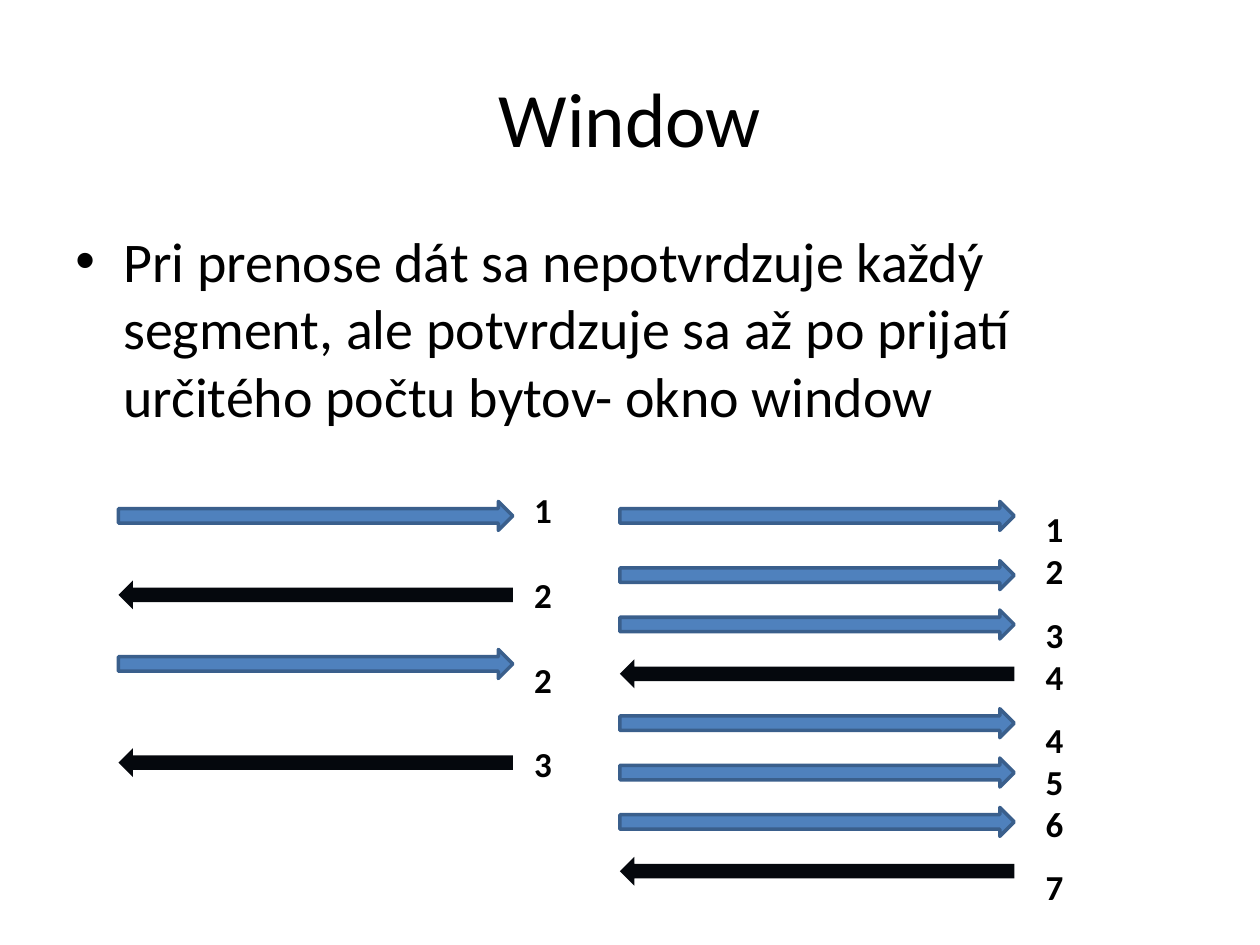
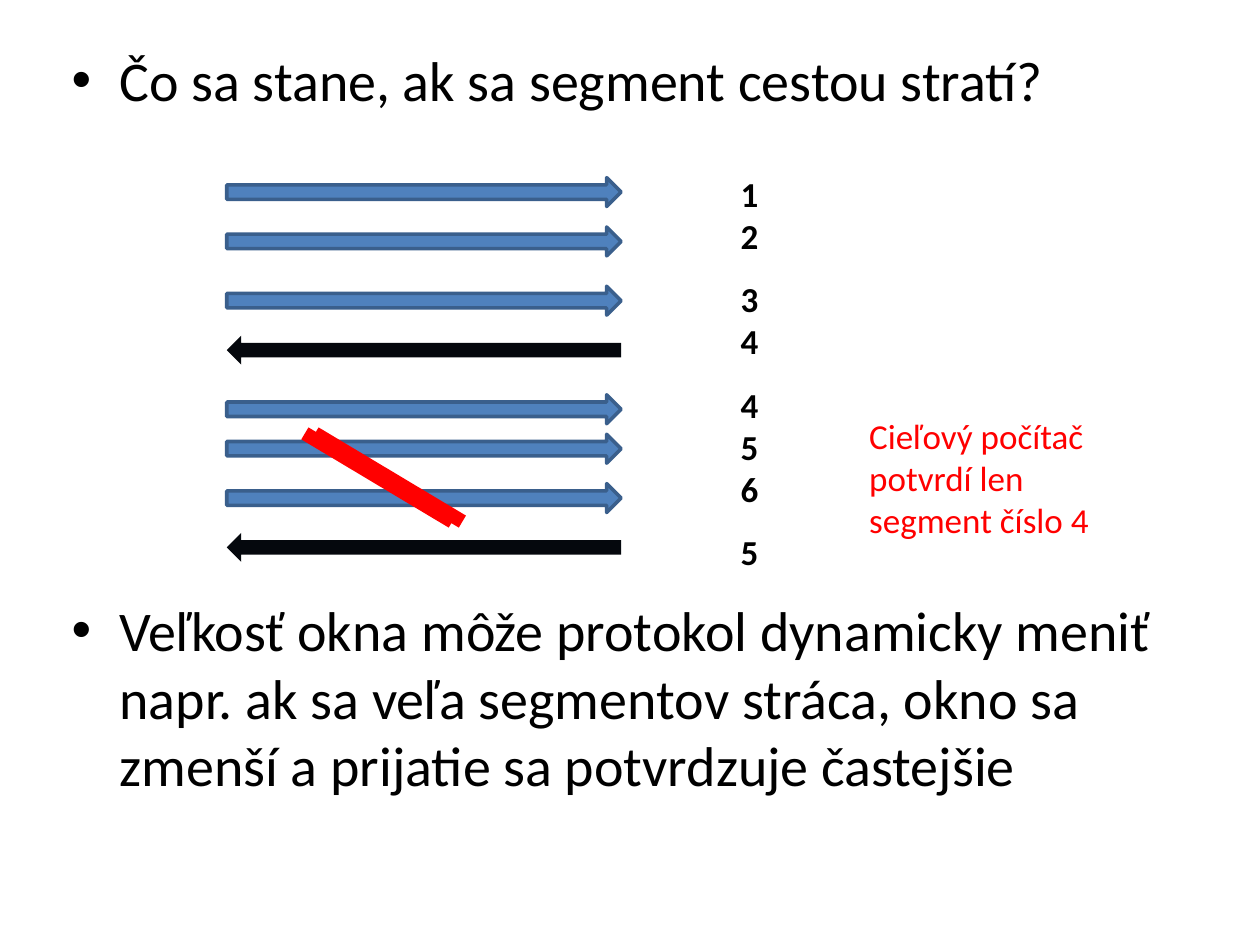
import pptx
import pptx.util
import pptx.dml.color
import pptx.enum.shapes
import pptx.enum.text
import lxml.etree
from dataclasses import dataclass

# Content: each exchange lists its messages as (grid row, kind); each label
# list is split into groups, with a wider gap before every new group.
SEND, ACK = "send", "ack"

TITLE = "Window"
INTRO = ("Pri prenose dát sa nepotvrdzuje každý segment, ale potvrdzuje sa "
         "až po prijatí určitého počtu bytov- okno window")
QUESTION = "Čo sa stane, ak sa segment cestou stratí?"
CONCLUSION = ("Veľkosť okna môže protokol dynamicky meniť napr. ak sa veľa "
              "segmentov stráca, okno sa zmenší a prijatie sa potvrdzuje častejšie")
LOSS_NOTE = "Cieľový počítač potvrdí len segment číslo 4"

SINGLE = {
    "messages": [(0, SEND), (8, ACK), (15, SEND), (25, ACK)],
    "labels": [["1"], ["2"], ["2"], ["3"]],
    "group_gap": 24.4,
}
WINDOWED = {
    "messages": [(0, SEND), (6, SEND), (11, SEND), (16, ACK),
                 (21, SEND), (26, SEND), (31, SEND), (36, ACK)],
    "labels": [["1", "2"], ["3", "4"], ["4", "5", "6"], ["7"]],
    "group_gap": 12.2,
}
LOSSY = {
    "messages": [(0, SEND), (5, SEND), (11, SEND), (16, ACK),
                 (22, SEND), (26, SEND), (31, SEND), (36, ACK)],
    "labels": [["1", "2"], ["3", "4"], ["4", "5", "6"], ["5"]],
    "group_gap": 12.2,
}


@dataclass(frozen=True)
class Theme:
    font: str = "Calibri"
    title_size: float = 44
    body_size: float = 32
    label_size: float = 20
    text: str = "000000"
    send_fill: str = "4F81BD"
    send_line: str = "3A5F8C"
    ack_fill: str = "05080D"
    loss: str = "FF0000"
    send_line_width: float = 2
    loss_width: float = 8


THEME = Theme()
SLIDE_WIDTH, SLIDE_HEIGHT = 10, 7.5
MARGIN = 0.05 * SLIDE_WIDTH
ARROW_WIDTH, ARROW_HEIGHT = 3.13, 0.23
ROW = 2.82 / 36
INDENT = 0.38

inches = pptx.util.Inches
points = pptx.util.Pt


def rgb(value):
    return pptx.dml.color.RGBColor.from_string(value)


def style(paragraph, size, color=THEME.text, bold=False):
    font = paragraph.font
    font.name, font.size, font.bold = THEME.font, points(size), bold
    font.color.rgb = rgb(color)


def text_frame(slide, left, top, width, height):
    frame = slide.shapes.add_textbox(*map(inches, (left, top, width, height))).text_frame
    frame.word_wrap = True
    return frame


def add_title(slide, title):
    frame = text_frame(slide, MARGIN, 0.3, SLIDE_WIDTH - 2 * MARGIN, 1.25)
    frame.vertical_anchor = pptx.enum.text.MSO_ANCHOR.MIDDLE
    paragraph = frame.paragraphs[0]
    paragraph.text = title
    paragraph.alignment = pptx.enum.text.PP_ALIGN.CENTER
    style(paragraph, THEME.title_size)


def add_bullet(slide, sentence, left, top, height):
    frame = text_frame(slide, left, top, SLIDE_WIDTH - MARGIN - left, height)
    paragraph = frame.paragraphs[0]
    paragraph.text = sentence
    paragraph.space_before = points(0.2 * THEME.body_size)
    properties = paragraph._p.get_or_add_pPr()
    properties.set("marL", str(inches(INDENT)))
    properties.set("indent", str(-inches(INDENT)))
    for tag, key, value in (("buFont", "typeface", "Arial"), ("buChar", "char", "•")):
        mark = lxml.etree.SubElement(properties, pptx.oxml.ns.qn("a:" + tag))
        mark.set(key, value)
    style(paragraph, THEME.body_size)


def add_message(slide, kind, left, top):
    presets = pptx.enum.shapes.MSO_SHAPE
    preset = presets.RIGHT_ARROW if kind == SEND else presets.LEFT_ARROW
    arrow = slide.shapes.add_shape(
        preset, *map(inches, (left, top, ARROW_WIDTH, ARROW_HEIGHT)))
    arrow.shadow.inherit = False
    arrow.fill.solid()
    if kind == SEND:
        arrow.fill.fore_color.rgb = rgb(THEME.send_fill)
        arrow.line.color.rgb = rgb(THEME.send_line)
        arrow.line.width = points(THEME.send_line_width)
    else:
        arrow.fill.fore_color.rgb = rgb(THEME.ack_fill)
        arrow.line.fill.background()


def add_exchange(slide, exchange, left, top, labels_left, labels_top):
    """Draw the message arrows and the column of segment numbers beside them."""
    for row, kind in exchange["messages"]:
        add_message(slide, kind, left, top + row * ROW)
    frame = text_frame(slide, labels_left, labels_top, 0.5, 37 * ROW)
    paragraph = None
    for group in exchange["labels"]:
        for place, number in enumerate(group):
            starts_group = paragraph is not None and place == 0
            paragraph = frame.add_paragraph() if paragraph is not None else frame.paragraphs[0]
            paragraph.text = number
            if starts_group:
                paragraph.space_before = points(exchange["group_gap"])
            style(paragraph, THEME.label_size, bold=True)


def add_loss_stroke(slide, left, top, width, height):
    stroke = slide.shapes.add_connector(
        pptx.enum.shapes.MSO_CONNECTOR.STRAIGHT,
        *map(inches, (left, top, left + width, top + height)))
    stroke.line.color.rgb = rgb(THEME.loss)
    stroke.line.width = points(THEME.loss_width)
    lxml.etree.SubElement(stroke._element.spPr, pptx.oxml.ns.qn("a:effectLst"))


def build_window(slide):
    add_title(slide, TITLE)
    add_bullet(slide, INTRO, MARGIN, 1.75, 1.9)
    add_exchange(slide, SINGLE, 0.94, 3.98, 4.14, 3.83)
    add_exchange(slide, WINDOWED, 4.92, 3.98, 8.2, 3.98)


def build_loss(slide):
    add_bullet(slide, QUESTION, 0.47, 0.31, 0.75)
    add_bullet(slide, CONCLUSION, 0.47, 4.68, 1.9)
    add_exchange(slide, LOSSY, 1.8, 1.41, 5.78, 1.32)
    for left in (2.5, 2.42):
        add_loss_stroke(slide, left, 3.44, 1.17, 0.7)
    note = text_frame(slide, 6.8, 3.24, 2.27, 1.11).paragraphs[0]
    note.text = LOSS_NOTE
    style(note, THEME.label_size, THEME.loss)


def main():
    deck = pptx.Presentation()
    deck.slide_width, deck.slide_height = inches(SLIDE_WIDTH), inches(SLIDE_HEIGHT)
    blank = deck.slide_layouts[6]
    for build in (build_window, build_loss):
        build(deck.slides.add_slide(blank))
    deck.save("out.pptx")


if __name__ == "__main__":
    main()
